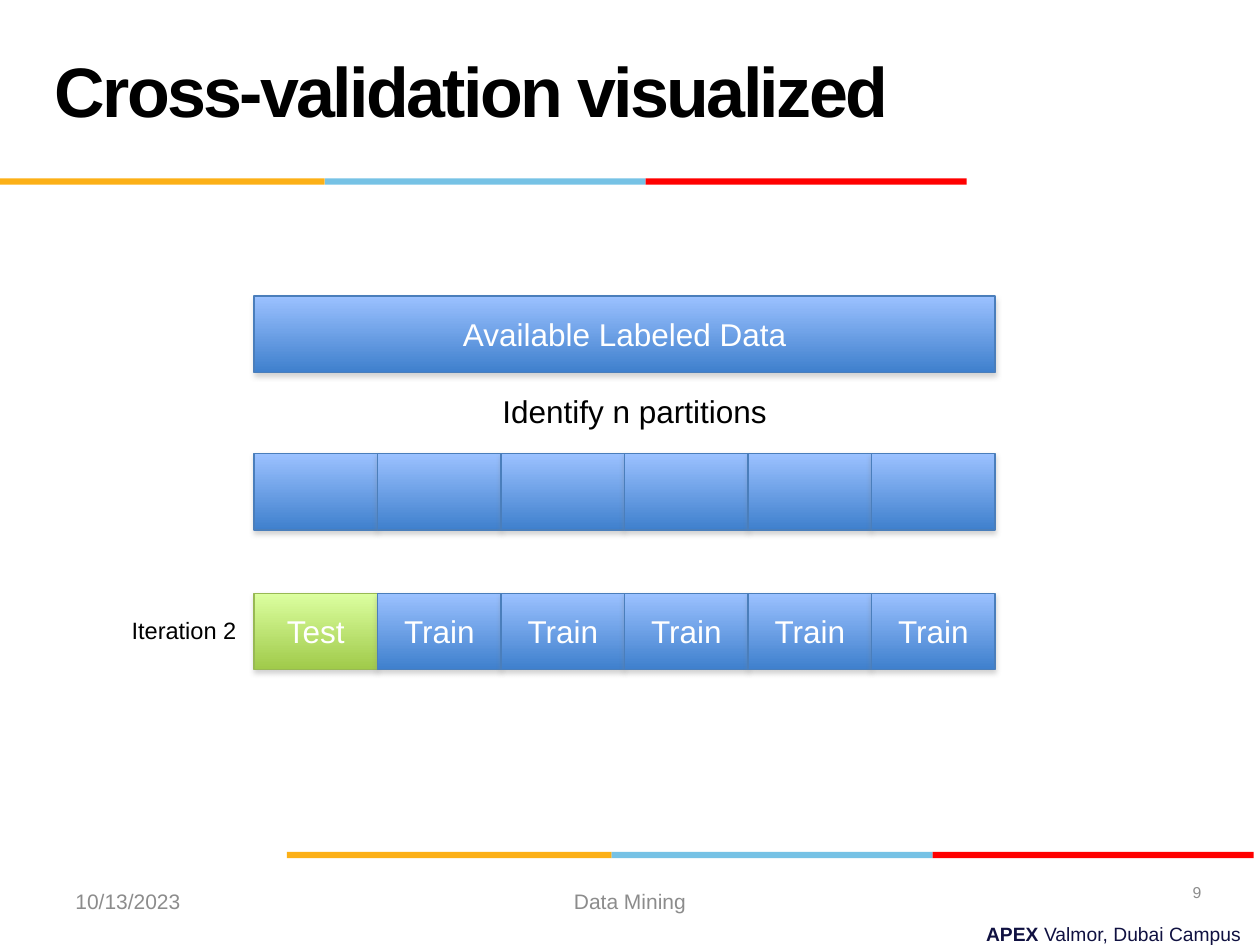
from lxml import etree
from pptx import Presentation
from pptx.dml.color import RGBColor
from pptx.enum import shapes, text
from pptx.oxml import ns
from pptx.util import Pt

FONT = "Arial"
BLACK = RGBColor(0x00, 0x00, 0x00)
WHITE = RGBColor(0xFF, 0xFF, 0xFF)
GRAY = RGBColor(0x8C, 0x8C, 0x8C)
NAVY = RGBColor(0x10, 0x11, 0x41)
YELLOW = RGBColor(0xFC, 0xB0, 0x17)
SKY = RGBColor(0x76, 0xC2, 0xE5)
RED = RGBColor(0xFF, 0x00, 0x00)
# Gradient top, gradient bottom, outline
BLUE_BOX = (RGBColor(0x9B, 0xC1, 0xFF), RGBColor(0x3F, 0x80, 0xCD), RGBColor(0x4A, 0x7E, 0xBB))
GREEN_BOX = (RGBColor(0xDC, 0xFF, 0xA0), RGBColor(0xA0, 0xCA, 0x4A), RGBColor(0x98, 0xB9, 0x54))

LEFT, MIDDLE, RIGHT = text.PP_ALIGN.LEFT, text.PP_ALIGN.CENTER, text.PP_ALIGN.RIGHT
TOP, CENTER = text.MSO_ANCHOR.TOP, text.MSO_ANCHOR.MIDDLE

TITLE = "Cross-validation visualized"
BAND = [(YELLOW, 185.6), (SKY, 183.4), (RED, 183.4)]
BAND_STARTS = [(164, 486.8), (0, 102)]
BAND_HEIGHT = 3.6

GRID_LEFT, GRID_WIDTH, BOX_HEIGHT = 145.2, 423.4, 43.5
ROWS = [  # top, box labels
    (169.2, ["Available Labeled Data"]),
    (259.3, [""] * 6),
    (339, ["Test"] + ["Train"] * 5),
]
LABELS = [  # text, left, top, width, height, size, colour, alignment, anchor
    ("Identify n partitions", 247.6, 220.6, 230, 29, 18, BLACK, MIDDLE, TOP),
    ("Iteration 2", 68.2, 348.6, 75, 23.5, 13.5, BLACK, LEFT, TOP),
    ("10/13/2023", 36, 500.5, 168, 28.8, 12, GRAY, LEFT, CENTER),
    ("Data Mining", 246, 500.5, 228, 28.8, 12, GRAY, MIDDLE, CENTER),
    ("9", 525.6, 495.5, 168, 28.8, 9, GRAY, RIGHT, CENTER),
]
CAMPUS = [("APEX", True), (" Valmor, Dubai Campus", False)]


def style(p, size, color, align):
    p.alignment = align
    p.font.name, p.font.size, p.font.color.rgb = FONT, Pt(size), color


def add_label(s, label, left, top, width, height, size, color, align, anchor):
    tf = s.shapes.add_textbox(Pt(left), Pt(top), Pt(width), Pt(height)).text_frame
    tf.word_wrap = True
    tf.vertical_anchor = anchor
    p = tf.paragraphs[0]
    p.text = label
    style(p, size, color, align)
    return p


def add_rect(s, left, top, width, height):
    sp = s.shapes.add_shape(shapes.MSO_SHAPE.RECTANGLE, Pt(left), Pt(top), Pt(width), Pt(height))
    sp.shadow.inherit = False
    return sp


def add_band(s, left, top):
    for color, width in BAND:
        sp = add_rect(s, left, top, width, BAND_HEIGHT)
        sp.fill.solid()
        sp.fill.fore_color.rgb = color
        sp.line.fill.background()
        left += width


def add_shadow(sp):
    """Give the shape a soft gray shadow straight below it."""
    effects = sp._element.spPr.find(ns.qn("a:effectLst"))
    shadow = etree.SubElement(effects, ns.qn("a:outerShdw"), blurRad=str(Pt(3.1)),
                              dist=str(Pt(1.8)), dir="5400000", rotWithShape="0")
    color = etree.SubElement(shadow, ns.qn("a:srgbClr"), val="808080")
    etree.SubElement(color, ns.qn("a:alpha"), val="35000")


def add_data_box(s, label, left, top, width):
    start, end, outline = GREEN_BOX if label == "Test" else BLUE_BOX
    sp = add_rect(s, left, top, width, BOX_HEIGHT)
    sp.fill.gradient()
    sp.fill.gradient_angle = 270
    for stop, color in zip(sp.fill.gradient_stops, (start, end)):
        stop.color.rgb = color
    sp.line.color.rgb = outline
    sp.line.width = Pt(0.75)
    add_shadow(sp)
    if label:
        sp.text_frame.vertical_anchor = CENTER
        p = sp.text_frame.paragraphs[0]
        p.text = label
        style(p, 18, WHITE, MIDDLE)


def add_title(s):
    sp = s.shapes.title
    sp.left, sp.top, sp.width, sp.height = Pt(24), Pt(6), Pt(648), Pt(90)
    sp.text_frame.vertical_anchor = CENTER
    p = sp.text_frame.paragraphs[0]
    r = p.add_run()
    r.text = TITLE
    style(p, 40, BLACK, LEFT)
    p.font.bold = True
    r._r.get_or_add_rPr().set("spc", "-150")


def main():
    prs = Presentation()
    prs.slide_width, prs.slide_height = Pt(720), Pt(540)
    s = prs.slides.add_slide(prs.slide_layouts[5])
    add_title(s)
    for left, top in BAND_STARTS:
        add_band(s, left, top)
    for top, labels in ROWS:
        width = GRID_WIDTH / len(labels)
        for i, label in enumerate(labels):
            add_data_box(s, label, GRID_LEFT + i * width, top, width)
    for label in LABELS:
        add_label(s, *label)

    p = add_label(s, "", 254, 523.3, 462.4, 20.6, 11, NAVY, RIGHT, TOP)
    for part, bold in CAMPUS:
        r = p.add_run()
        r.text, r.font.bold = part, bold
    prs.save("out.pptx")


if __name__ == "__main__":
    main()
